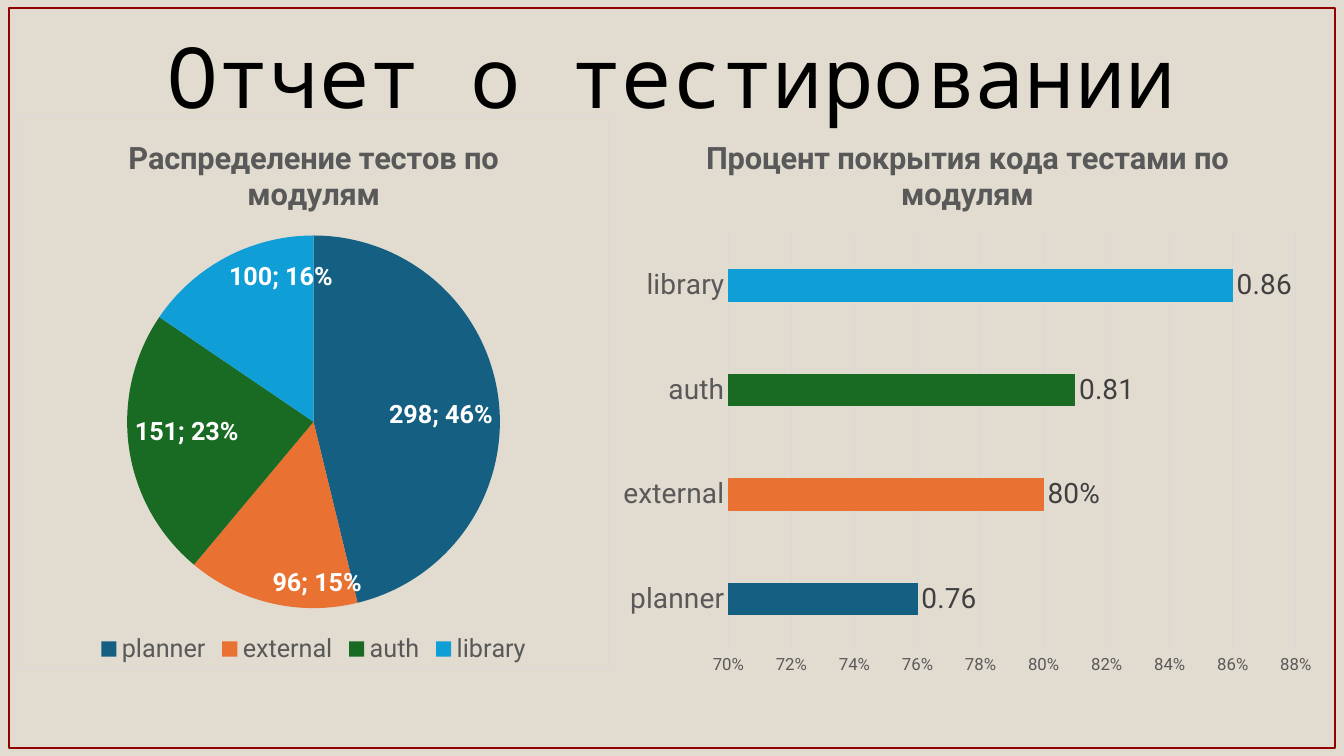
from lxml.etree import SubElement
from pptx import Presentation
from pptx.chart.data import CategoryChartData
from pptx.dml.color import RGBColor
from pptx.enum.chart import XL_CHART_TYPE as ChartType
from pptx.enum.chart import XL_LABEL_POSITION as LabelPosition
from pptx.enum.chart import XL_LEGEND_POSITION as LegendPosition
from pptx.enum.chart import XL_TICK_MARK as TickMark
from pptx.enum.shapes import MSO_SHAPE as Shape
from pptx.enum.text import MSO_ANCHOR as Anchor
from pptx.enum.text import PP_ALIGN as Align
from pptx.oxml import parse_xml
from pptx.oxml.ns import nsdecls, qn
from pptx.util import Inches, Pt

BEIGE = RGBColor(0xE2, 0xDC, 0xD0)
BLACK = RGBColor(0, 0, 0)
WHITE = RGBColor(0xFF, 0xFF, 0xFF)
DARK_RED = RGBColor(0x92, 0, 0)
GRAY = RGBColor(0x59, 0x59, 0x59)
DARK_GRAY = RGBColor(0x40, 0x40, 0x40)
LIGHT_GRAY = RGBColor(0xD9, 0xD9, 0xD9)
MODULE_COLORS = [
    RGBColor(0x15, 0x60, 0x82),
    RGBColor(0xE9, 0x71, 0x32),
    RGBColor(0x19, 0x6B, 0x24),
    RGBColor(0x0F, 0x9E, 0xD5),
]

MODULES = ["planner", "external", "auth", "library"]
TEST_COUNTS = [298, 96, 151, 100]
COVERAGE = [0.76, 0.8, 0.81, 0.86]
COVERAGE_FORMATS = ["General", "0%", "General", "General"]


def set_values(target, **values):
    for name, value in values.items():
        setattr(target, name, value)


def format_font(font, size, color, bold=False, name="Roboto"):
    set_values(font, size=Pt(size), bold=bold, name=name)
    font.color.rgb = color


def format_line(line, color, width):
    line.color.rgb = color
    line.width = Pt(width)


def paint(item, color):
    item.format.fill.solid()
    item.format.fill.fore_color.rgb = color


def add_heading(page, text):
    title = page.shapes.title
    set_values(title, left=Inches(0.16), top=Inches(0.08),
               width=Inches(13.01), height=Inches(1.45))
    title.text_frame.text = text
    title.text_frame.vertical_anchor = Anchor.MIDDLE
    para = title.text_frame.paragraphs[0]
    set_values(para, alignment=Align.CENTER, line_spacing=0.9)
    format_font(para.runs[0].font, 60, BLACK, name="Noto Sans Mono")


def add_page_frame(page):
    frame = page.shapes.add_shape(Shape.RECTANGLE, Inches(0.09), Inches(0.08),
                                  Inches(13.15), Inches(7.34))
    frame.shadow.inherit = False
    frame.fill.background()
    format_line(frame.line, DARK_RED, 1.5)


def add_titled_chart(page, kind, place, data, title):
    chart = page.shapes.add_chart(kind, *map(Inches, place), data).chart
    format_font(chart.font, 10, BLACK)
    chart.has_title = True
    chart.chart_title.include_in_layout = False
    frame = chart.chart_title.text_frame
    frame.text = title
    format_font(frame.paragraphs[0].runs[0].font, 22, GRAY, bold=True)
    return chart


def format_labels(labels, position, size, color, bold=False, number_format="General"):
    set_values(labels, show_value=True, position=position,
               number_format=number_format, number_format_is_linked=False)
    format_font(labels.font, size, color, bold)


def add_chart_border(chart):
    border = parse_xml(
        f'<c:spPr {nsdecls("c", "a")}><a:noFill/><a:ln w="{Pt(0.75)}"><a:solidFill>'
        f'<a:srgbClr val="{LIGHT_GRAY}"/></a:solidFill></a:ln></c:spPr>')
    chart.element.find(qn("c:chart")).addnext(border)


def add_label_separator(chart, text):
    for flag in chart.element.iter(qn("c:showBubbleSize")):
        separator = SubElement(flag.getparent(), qn("c:separator"))
        separator.text = text
        flag.addnext(separator)


def add_coverage_chart(page):
    data = CategoryChartData()
    data.categories = MODULES
    for index, share in enumerate(COVERAGE):
        values = [None] * len(MODULES)
        values[index] = share
        data.add_series(f"Series {index + 1}", values)
    chart = add_titled_chart(page, ChartType.BAR_CLUSTERED, (6.04, 1.14, 7.11, 5.67),
                             data, "Процент покрытия кода тестами по модулям")
    chart.has_legend = False
    plot = chart.plots[0]
    set_values(plot, gap_width=222, overlap=100, vary_by_categories=False)
    for series, color, number_format in zip(plot.series, MODULE_COLORS, COVERAGE_FORMATS):
        paint(series, color)
        format_labels(series.data_labels, LabelPosition.OUTSIDE_END, 20, DARK_GRAY,
                      number_format=number_format)

    for axis, size in ((chart.category_axis, 20), (chart.value_axis, 12)):
        set_values(axis, major_tick_mark=TickMark.NONE, minor_tick_mark=TickMark.NONE)
        format_font(axis.tick_labels.font, size, GRAY)
    format_line(chart.category_axis.format.line, LIGHT_GRAY, 0.75)
    scale = chart.value_axis
    set_values(scale, minimum_scale=0.7, maximum_scale=0.88, major_unit=0.02,
               has_major_gridlines=True)
    set_values(scale.tick_labels, number_format="0%", number_format_is_linked=False)
    scale.format.line.fill.background()
    format_line(scale.major_gridlines.format.line, LIGHT_GRAY, 0.75)


def add_distribution_chart(page):
    data = CategoryChartData()
    data.categories = MODULES
    data.add_series("Series 1", TEST_COUNTS)
    chart = add_titled_chart(page, ChartType.PIE, (0.18, 1.14, 5.86, 5.5),
                             data, "Распределение тестов по модулям")
    chart.has_legend = True
    set_values(chart.legend, position=LegendPosition.BOTTOM, include_in_layout=False)
    format_font(chart.legend.font, 18, GRAY)
    plot = chart.plots[0]
    plot.vary_by_categories = True
    series = plot.series[0]
    for index, color in enumerate(MODULE_COLORS):
        paint(series.points[index], color)
    format_labels(series.data_labels, LabelPosition.INSIDE_END, 18, WHITE, bold=True)
    series.data_labels.show_percentage = True
    add_label_separator(chart, "; ")
    add_chart_border(chart)


def main():
    deck = Presentation()
    set_values(deck, slide_width=Inches(13.33), slide_height=Inches(7.5))
    page = deck.slides.add_slide(deck.slide_layouts[5])
    page.background.fill.solid()
    page.background.fill.fore_color.rgb = BEIGE
    add_heading(page, "Отчет о тестировании")
    add_page_frame(page)
    add_coverage_chart(page)
    add_distribution_chart(page)
    deck.save("out.pptx")


if __name__ == "__main__":
    main()
